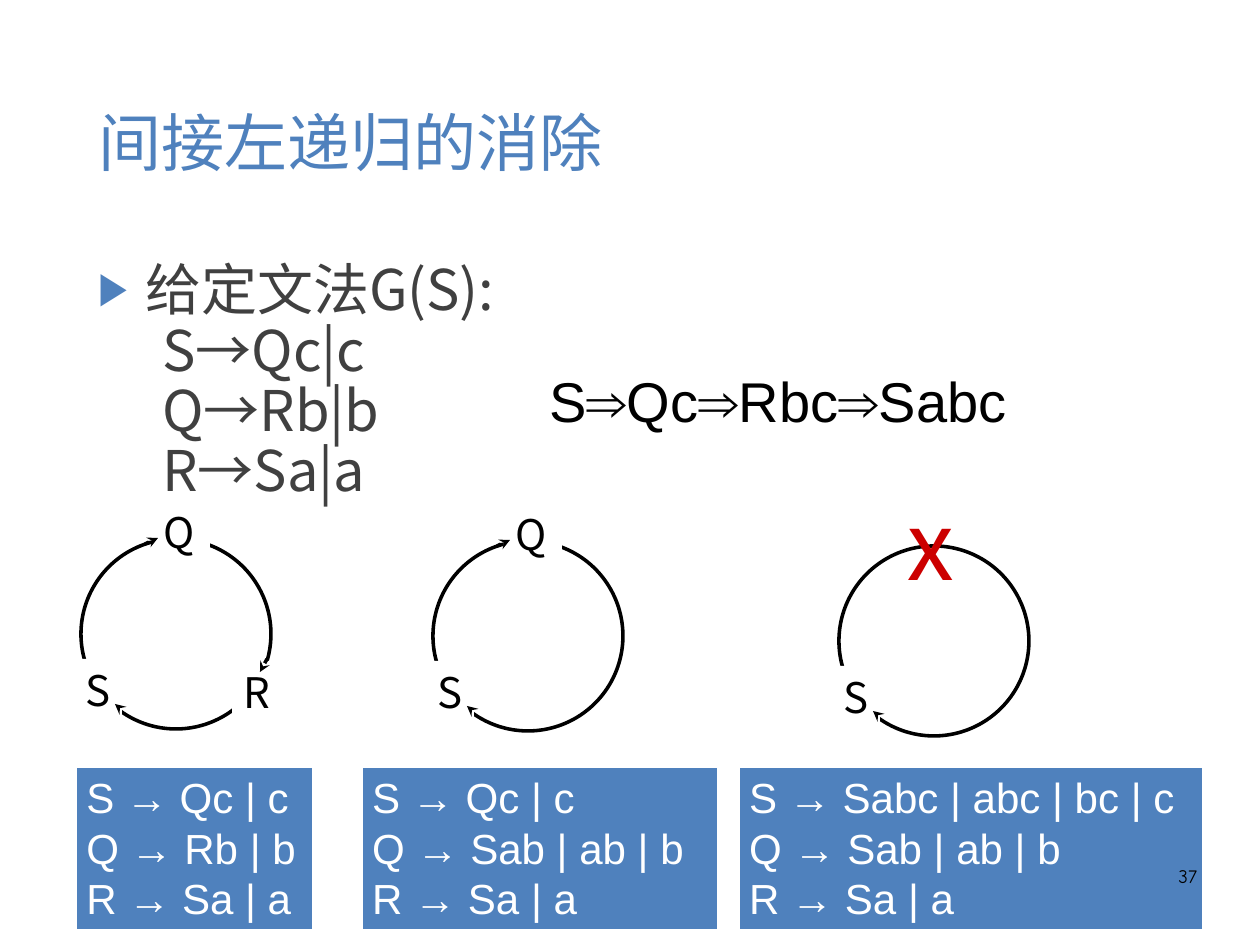
import pptx
import pptx.dml.color
import pptx.enum.shapes
import pptx.enum.text
import pptx.oxml
import pptx.oxml.ns
import pptx.util

EMU_PER_PX = 8000
CJK, SANS, COMIC = "Noto Sans CJK SC", "Arial", "Comic Neue"
BLUE, BLACK, WHITE, GREY, RED = "4F81BD", "000000", "FFFFFF", "404040", "CC0000"
SHAPES = pptx.enum.shapes.MSO_SHAPE
ALIGN = pptx.enum.text.PP_ALIGN
ANCHOR = pptx.enum.text.MSO_ANCHOR


def px(length):
    return pptx.util.Emu(length * EMU_PER_PX)


def color(hex_string):
    return pptx.dml.color.RGBColor.from_string(hex_string)


def add_xml(parent, tag, **attributes):
    element = pptx.oxml.parse_xml(f"<a:{tag} {pptx.oxml.ns.nsdecls('a')}/>")
    for name, value in attributes.items():
        element.set(name, str(value))
    parent.append(element)
    return element


class SlideBuilder:
    def __init__(self, width, height):
        self.presentation = pptx.Presentation()
        self.presentation.slide_width = px(width)
        self.presentation.slide_height = px(height)
        self.slide = self.presentation.slides.add_slide(self.presentation.slide_layouts[6])

    def set_text(self, shape, lines, size, font, fill, frame=None, paragraph_format=None):
        """Fill a shape with one paragraph per line; the two dicts hold attribute values."""
        text_frame = shape.text_frame
        settings = {"word_wrap": True, "vertical_anchor": ANCHOR.TOP, **(frame or {})}
        for name, value in settings.items():
            setattr(text_frame, name, value)
        text_frame.text = "\n".join(lines)
        for paragraph in text_frame.paragraphs:
            settings = {"alignment": ALIGN.LEFT, **(paragraph_format or {})}
            for name, value in settings.items():
                setattr(paragraph, name, value)
            for run in paragraph.runs:
                run.font.size = pptx.util.Pt(size)
                run.font.color.rgb = color(fill)
                run.font.name = font
                add_xml(run.font._element, "ea", typeface=font)
        return text_frame

    def text(self, box, lines, size, font, fill, **formats):
        shape = self.slide.shapes.add_textbox(*map(px, box))
        return self.set_text(shape, lines, size, font, fill, **formats)

    def shape(self, kind, box, fill=None, line=None, line_width=2):
        shape = self.slide.shapes.add_shape(kind, *map(px, box))
        shape.shadow.inherit = False
        if fill:
            shape.fill.solid()
            shape.fill.fore_color.rgb = color(fill)
        else:
            shape.fill.background()
        if line:
            shape.line.color.rgb = color(line)
            shape.line.width = pptx.util.Pt(line_width)
        else:
            shape.line.fill.background()
        return shape

    def arrow(self, *ends):
        straight = pptx.enum.shapes.MSO_CONNECTOR.STRAIGHT
        connector = self.slide.shapes.add_connector(straight, *map(px, ends))
        connector.line.color.rgb = color(BLACK)
        connector.line.width = pptx.util.Pt(2.25)
        add_xml(connector.line._get_or_add_ln(), "tailEnd", type="stealth")
        add_xml(connector._element.spPr, "effectLst")

    def bullet(self, paragraph, indent):
        properties = paragraph._element.get_or_add_pPr()
        properties.set("marL", str(px(indent)))
        properties.set("indent", str(-px(indent)))
        add_xml(add_xml(properties, "buClr"), "srgbClr", val=BLUE)
        add_xml(properties, "buSzPct", val=80000)
        add_xml(properties, "buFont", typeface=SANS)
        add_xml(properties, "buChar", char="▶")

    def cycle(self, left, top, symbols):
        """Draw a ring whose named symbols interrupt it, each with an arrow to it."""
        self.shape(SHAPES.OVAL, (left, top, 190, 190), line=BLACK, line_width=2.25)
        for symbol in symbols:
            x, y, width = LABELS[symbol]
            label = self.shape(SHAPES.RECTANGLE, (left + x, top + y, width, 63), fill=WHITE)
            self.set_text(label, [symbol], 26.5, CJK, BLACK, frame={"word_wrap": False},
                          paragraph_format={"line_spacing": pptx.util.Pt(32)})
        for symbol in symbols:
            x1, y1, x2, y2 = ARROWS[symbol]
            self.arrow(left + x1, top + y1, left + x2, top + y2)

    def grammar(self, left, width, rules):
        box = self.shape(SHAPES.RECTANGLE, (left, 766, width, 165), fill=BLUE, line=WHITE)
        self.set_text(box, rules, 26.5, SANS, WHITE)


# Label left, top and width, and arrow ends, relative to the ring's corner
LABELS = {"S": (-7, 120, 48), "Q": (71, -38, 58), "R": (151, 122, 50)}
ARROWS = {"S": (41, 171, 34, 165), "Q": (64, 5, 77, -1), "R": (186, 120, 179, 133)}
CYCLES = [(81, 539, "SQR"), (433, 541, "SQ"), (839, 546, "S")]
GRAMMARS = [
    (75, 239, ["S → Qc | c", "Q → Rb | b", "R → Sa | a"]),
    (361, 358, ["S → Qc | c", "Q → Sab | ab | b", "R → Sa | a"]),
    (738, 466, ["S → Sabc | abc | bc | c", "Q → Sab | ab | b", "R → Sa | a"]),
]


def main():
    builder = SlideBuilder(1260, 945)
    builder.text((87, 50, 1087, 183), ["间接左递归的消除"], 39.7, CJK, BLUE,
                 frame={"vertical_anchor": ANCHOR.MIDDLE})

    body = builder.text((87, 256, 1087, 595), ["给定文法G(S):", "S→Qc|c", "Q→Rb|b", "R→Sa|a"],
                        35.3, CJK, GREY, paragraph_format={"line_spacing": pptx.util.Pt(38)})
    heading, *productions = body.paragraphs
    builder.bullet(heading, 47)
    for paragraph in productions:
        paragraph._element.get_or_add_pPr().set("marL", str(px(64)))

    builder.text((538, 361, 529, 79), ["S⇒Qc⇒Rbc⇒Sabc"], 35.3, SANS, BLACK)
    for cycle in CYCLES:
        builder.cycle(*cycle)
    for grammar in GRAMMARS:
        builder.grammar(*grammar)
    builder.text((872, 481, 119, 126), ["ⅹ"], 59.5, CJK, RED, frame={"word_wrap": False},
                 paragraph_format={"line_spacing": pptx.util.Pt(71)})
    margins = dict.fromkeys(("margin_left", "margin_top", "margin_right", "margin_bottom"), 0)
    builder.text((903, 861, 294, 65), ["37"], 12, COMIC, BLACK, frame=margins,
                 paragraph_format={"alignment": ALIGN.RIGHT, "line_spacing": 1.16})
    builder.presentation.save("out.pptx")


if __name__ == "__main__":
    main()
